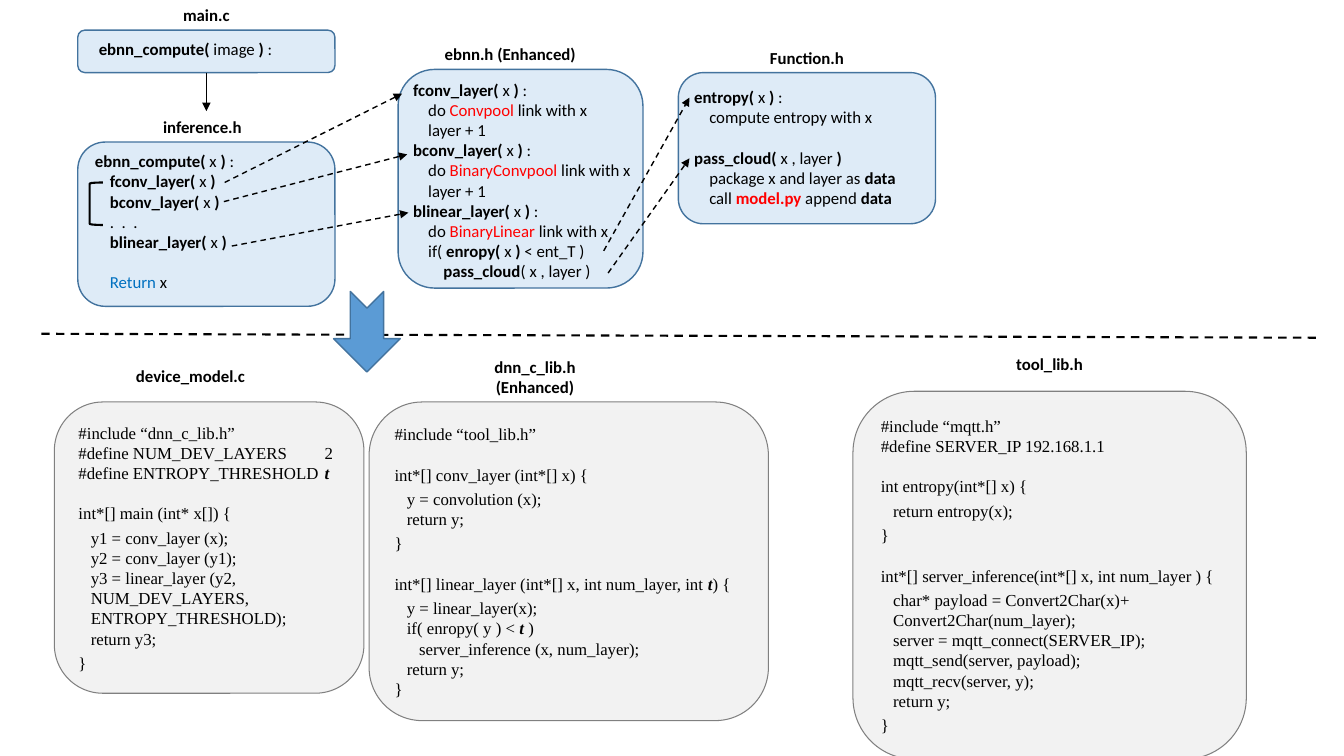
from collections import namedtuple

from lxml import etree
from pptx import Presentation
from pptx.dml.color import RGBColor
from pptx.enum.dml import MSO_LINE
from pptx.enum.shapes import MSO_CONNECTOR, MSO_SHAPE
from pptx.enum.text import MSO_ANCHOR, PP_ALIGN
from pptx.oxml.ns import qn
from pptx.util import Cm, Pt

ROUNDED = MSO_SHAPE.ROUNDED_RECTANGLE
BRACKET = MSO_SHAPE.LEFT_BRACKET
NOTCHED_ARROW = MSO_SHAPE.NOTCHED_RIGHT_ARROW
STRAIGHT = MSO_CONNECTOR.STRAIGHT
DASH = MSO_LINE.DASH
LEFT, CENTER = PP_ALIGN.LEFT, PP_ALIGN.CENTER
TOP, MIDDLE = MSO_ANCHOR.TOP, MSO_ANCHOR.MIDDLE

BLACK = RGBColor(0x00, 0x00, 0x00)
RED = RGBColor(0xFF, 0x00, 0x00)
BLUE = RGBColor(0x00, 0x70, 0xC0)
PALE_BLUE = RGBColor(0xDE, 0xEB, 0xF7)
EDGE_BLUE = RGBColor(0x43, 0x73, 0x9E)
ARROW_BLUE = RGBColor(0x5B, 0x9B, 0xD5)
PALE_GREY = RGBColor(0xF2, 0xF2, 0xF2)
GREY = RGBColor(0x80, 0x80, 0x80)

SANS, SERIF = "Calibri", "Times New Roman"
STEP = 0.38
CODE_STEP = 0.31
BLANK = 14.5
TAB_STOP = 6.2
TITLE_WIDTH, TITLE_HEIGHT = 4.04, 0.76

Box = namedtuple("Box", "left top width height")
Span = namedtuple("Span", "text bold italic color")
Line = namedtuple("Line", "spans indent before after")

MAIN = Box(1.96, 0.76, 6.48, 1.07)
INFERENCE = Box(1.96, 3.58, 6.48, 4.14)
EBNN = Box(10.03, 1.75, 6.17, 5.51)
FUNCTION = Box(17.09, 1.83, 6.48, 3.81)
DEVICE = Box(1.37, 10.13, 7.8, 7.34)
LIBRARY = Box(9.3, 10.13, 10.06, 8.03)
TOOLS = Box(21.49, 9.86, 9.91, 9.27)


def span(text, bold=False, italic=False, color=BLACK):
    return Span(text, bold, italic, color)


def bold(text, color=BLACK):
    return span(text, True, False, color)


def line(*parts, indent=0, before=0, after=0):
    spans = [span(part) if isinstance(part, str) else part for part in parts]
    return Line(spans, indent, before, after)


def code(*parts, level=1, before=0, after=0):
    return line(*parts, indent=level * CODE_STEP, before=before, after=after)


def call(name, argument, ending=" :", indent=0, before=0):
    return line(bold(name + "( "), argument, bold(" )"), ending, indent=indent, before=before)


def layer(name, operation):
    return [call(name, "x"),
            line("do ", span(operation, color=RED), " link with x", indent=STEP)]


THRESHOLD = span("t", True, True)
NEXT_LAYER = line("layer + 1", indent=STEP)

INFERENCE_LINES = [
    call("ebnn_compute", "x"),
    call("fconv_layer", "x", "", STEP),
    call("bconv_layer", "x", "", STEP),
    line(".  .  .", indent=STEP),
    call("blinear_layer", "x", "", STEP),
    line(span("Return", color=BLUE), " x", indent=STEP, before=BLANK)]
EBNN_LINES = [
    *layer("fconv_layer", "Convpool"), NEXT_LAYER,
    *layer("bconv_layer", "BinaryConvpool"), NEXT_LAYER,
    *layer("blinear_layer", "BinaryLinear"),
    line("if( ", bold("enropy( "), "x", bold(" ) "), "< ent_T )", indent=STEP),
    line(bold("pass_cloud"), "( x , layer )", indent=2 * STEP)]
FUNCTION_LINES = [
    call("entropy", "x"),
    line("compute entropy with x", indent=STEP),
    call("pass_cloud", "x , layer", "", before=BLANK),
    line("package x and layer as ", bold("data"), indent=STEP),
    line("call ", bold("model.py", RED), " append ", bold("data"), indent=STEP)]
DEVICE_LINES = [
    line("#include “dnn_c_lib.h”"),
    line("#define NUM_DEV_LAYERS\t2"),
    line("#define ENTROPY_THRESHOLD\t", THRESHOLD),
    line("int*[] main (int* x[]) {", before=BLANK),
    code("y1 = conv_layer (x);", before=3),
    code("y2 = conv_layer (y1);"),
    code("y3 = linear_layer (y2, NUM_DEV_LAYERS, ENTROPY_THRESHOLD);"),
    code("return y3;", after=3),
    line("}")]
LIBRARY_LINES = [
    line("#include “tool_lib.h”"),
    line("int*[] conv_layer (int*[] x) {", before=BLANK),
    code("y = convolution (x);", before=3),
    code("return y;", after=3),
    line("}"),
    line("int*[] linear_layer (int*[] x, int num_layer, int ", THRESHOLD, ") {", before=BLANK),
    code("y = linear_layer(x);", before=3),
    code("if( enropy( y ) < ", THRESHOLD, " )"),
    code("server_inference (x, num_layer);", level=2),
    code("return y;"),
    line("}")]
TOOLS_LINES = [
    line("#include “mqtt.h”"),
    line("#define SERVER_IP 192.168.1.1"),
    line("int entropy(int*[] x) {", before=BLANK),
    code("return entropy(x);", before=3, after=3),
    line("}"),
    line("int*[] server_inference(int*[] x, int num_layer ) {", before=BLANK),
    code("char* payload = Convert2Char(x)+", before=3),
    code("Convert2Char(num_layer);"),
    code("server = mqtt_connect(SERVER_IP);"),
    code("mqtt_send(server, payload);"),
    code("mqtt_recv(server, y);"),
    code("return y;", after=3),
    line("}")]


def write(frame, lines, font, align=LEFT, anchor=TOP):
    frame.word_wrap = True
    frame.vertical_anchor = anchor
    for index, item in enumerate(lines):
        para = frame.add_paragraph() if index else frame.paragraphs[0]
        para.alignment = align
        para.space_before, para.space_after = Pt(item.before), Pt(item.after)
        properties = para._p.get_or_add_pPr()
        properties.set("marL", str(Cm(item.indent)))
        if any("\t" in part.text for part in item.spans):
            stops = etree.SubElement(properties, qn("a:tabLst"))
            etree.SubElement(stops, qn("a:tab"), pos=str(Cm(TAB_STOP)), algn="l")
        for part in item.spans:
            run = para.add_run()
            run.text = part.text
            run.font.name, run.font.size = font, Pt(12)
            run.font.bold, run.font.italic = part.bold, part.italic
            run.font.color.rgb = part.color


def add_text(page, box, lines, align=LEFT):
    text_box = page.shapes.add_textbox(*map(Cm, box))
    write(text_box.text_frame, lines, SANS, align)


def add_preset(page, preset, box, fill, edge, weight):
    shape = page.shapes.add_shape(preset, *map(Cm, box))
    shape.shadow.inherit = False
    if fill is None:
        shape.fill.background()
    else:
        shape.fill.solid()
        shape.fill.fore_color.rgb = fill
    shape.line.color.rgb = edge
    shape.line.width = Pt(weight)
    return shape


def add_line(page, start, end, weight=1, dashed=True, arrow=True):
    connector = page.shapes.add_connector(STRAIGHT, *map(Cm, (*start, *end)))
    connector.line.color.rgb = BLACK
    connector.line.width = Pt(weight)
    if dashed:
        connector.line.dash_style = DASH
    if arrow:
        etree.SubElement(connector.line._get_or_add_ln(), qn("a:tailEnd"), type="triangle")
    etree.SubElement(connector._element.spPr, qn("a:effectLst"))
    return connector


def add_title(page, box, text, shift=0, gap=0, rows=1):
    height = TITLE_HEIGHT if rows == 1 else 1.27
    left = box.left + (box.width - TITLE_WIDTH) / 2 + shift
    place = Box(left, box.top - gap - height, TITLE_WIDTH, height)
    add_text(page, place, [line(bold(text))], CENTER)


def call_panel(page, box, title, lines, inset, shift=0):
    panel = add_preset(page, ROUNDED, box, PALE_BLUE, EDGE_BLUE, 1)
    add_title(page, box, title, shift)
    right, down = inset
    add_text(page, Box(box.left + right, box.top + down, box.width, box.height - down), lines)
    return panel


def code_panel(page, box, title, lines, shift=0, gap=0, rows=1):
    panel = add_preset(page, ROUNDED, box, PALE_GREY, GREY, 0.75)
    write(panel.text_frame, lines, SERIF, anchor=MIDDLE)
    add_title(page, box, title, shift, gap, rows)


def call_links(page, source, target, links):
    for right, down, target_right, target_down in links:
        add_line(page, (source.left + right, source.top + down),
                 (target.left + target_right, target.top + target_down))


def call_graph(page):
    main_panel = call_panel(page, MAIN, "main.c", [call("ebnn_compute", "image")], (0.28, 0.08))
    call_panel(page, INFERENCE, "inference.h", INFERENCE_LINES, (0.18, 0.1), -0.1)
    call_panel(page, EBNN, "ebnn.h (Enhanced)", EBNN_LINES, (0.13, 0.13), -0.26)
    call_panel(page, FUNCTION, "Function.h", FUNCTION_LINES, (0.15, 0.23))
    middle, bottom = MAIN.left + MAIN.width / 2, MAIN.top + MAIN.height
    entry = add_line(page, (middle, bottom), (middle, bottom + 0.97), dashed=False)
    entry.begin_connect(main_panel, 2)
    bracket = Box(INFERENCE.left + 0.3, INFERENCE.top + 1.02, 0.33, 1.07)
    add_preset(page, BRACKET, bracket, None, BLACK, 1.5)
    call_links(page, INFERENCE, EBNN, [
        (3.7, 1.02, 0.1, 0.61), (3.68, 1.5, 0.23, 2.14), (3.88, 2.62, 0.26, 3.61)])
    call_links(page, EBNN, FUNCTION, [(5.18, 4.57, 0.28, 0.63), (5.29, 5.13, 0.28, 2.16)])


def divider(page, box):
    add_line(page, (box.left, box.top), (box.left + box.width, box.top + box.height), 1.5, arrow=False)
    arrow_box = Box(box.left + 7.19, box.top - 0.89, 2.03, 1.68)
    add_preset(page, NOTCHED_ARROW, arrow_box, ARROW_BLUE, EDGE_BLUE, 1).rotation = 90


def main():
    deck = Presentation()
    deck.slide_width, deck.slide_height = Cm(33.86), Cm(19.05)
    page = deck.slides.add_slide(deck.slide_layouts[6])
    code_panel(page, DEVICE, "device_model.c", DEVICE_LINES, -0.47, 0.28)
    code_panel(page, LIBRARY, "dnn_c_lib.h (Enhanced)", LIBRARY_LINES, -0.85, rows=2)
    code_panel(page, TOOLS, "tool_lib.h", TOOLS_LINES, gap=0.3)
    call_graph(page)
    divider(page, Box(1.04, 8.41, 32.11, 0.1))
    deck.save("out.pptx")


if __name__ == "__main__":
    main()
